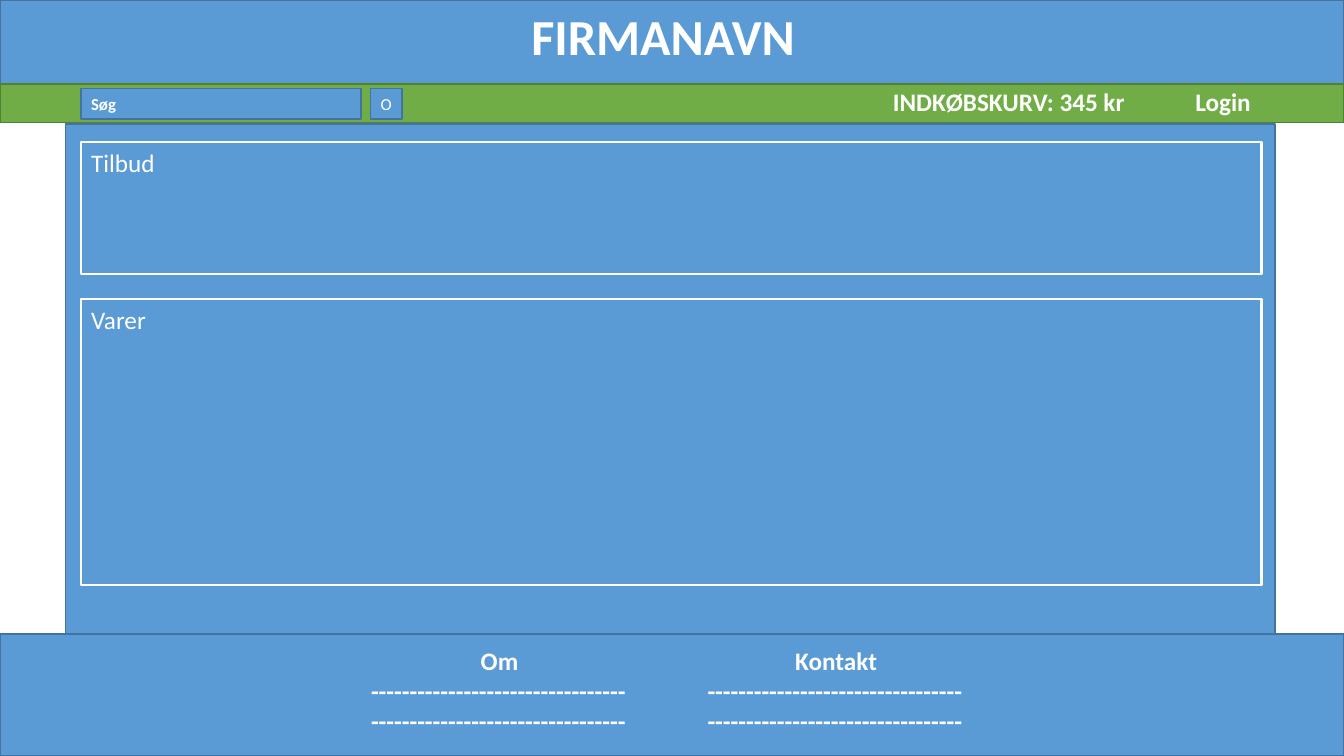
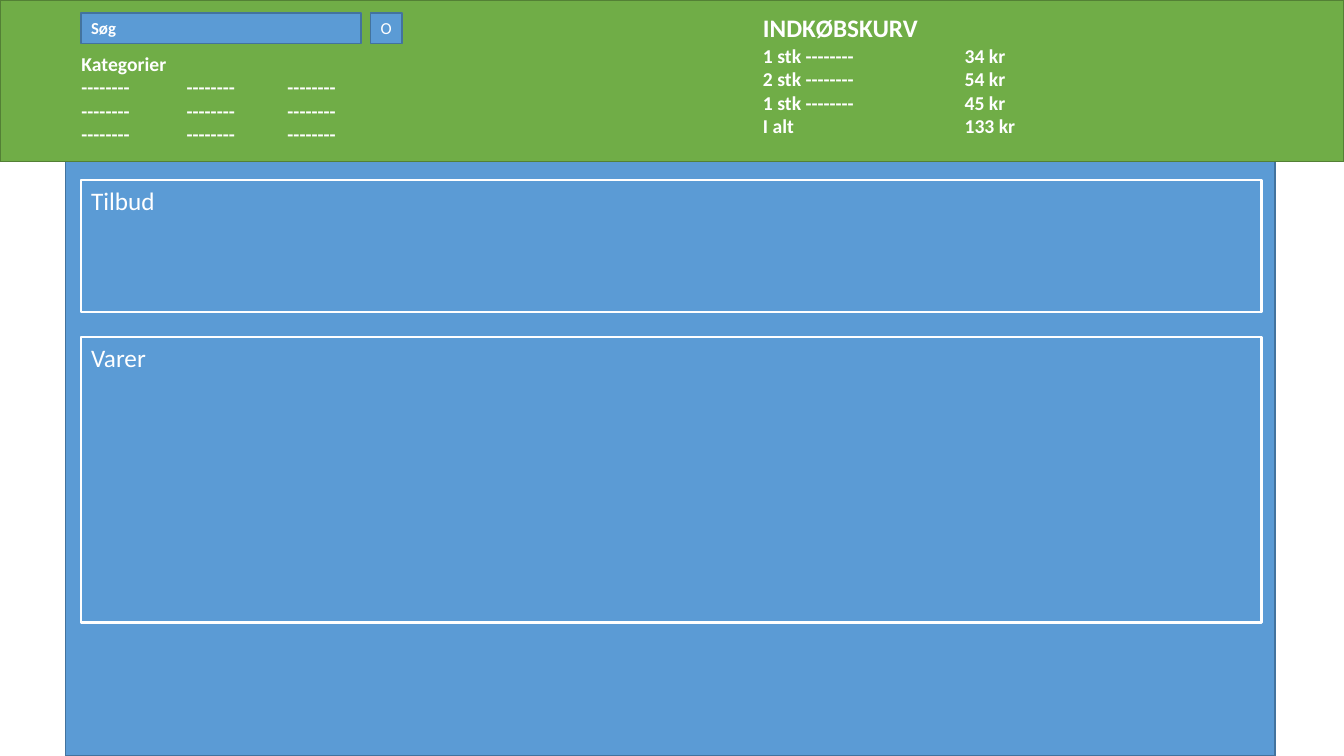
"""Build two wireframe slides of a web shop: the front page and its opened menu."""
from dataclasses import dataclass

from lxml import etree
from pptx import Presentation
from pptx.dml.color import RGBColor
from pptx.enum import shapes, text
from pptx.oxml import ns
from pptx.util import Pt

COLORS = {"blue": "5B9BD5", "blue_edge": "43739E", "green": "70AD47",
          "green_edge": "538035", "white": "FFFFFF"}
FONT = "Calibri"
WIDTH, HEIGHT = 960, 540
MARGIN, INNER_LEFT, INNER_WIDTH = 46.8, 58, 843.1
TAB_STEP = 72
LEFT, CENTER = text.PP_ALIGN.LEFT, text.PP_ALIGN.CENTER
TOP, MIDDLE = text.MSO_ANCHOR.TOP, text.MSO_ANCHOR.MIDDLE
DASHES = "-" * 33
SHORT = "-" * 8


@dataclass
class Frame:
    """Position and size in points."""
    left: float
    top: float
    width: float
    height: float


@dataclass
class Style:
    """Look of a block of text."""
    size: float
    bold: bool = True
    align: text.PP_ALIGN = LEFT
    anchor: text.MSO_ANCHOR = TOP
    wrap: bool = True


@dataclass
class Box:
    """Filled rectangle with an optional label."""
    frame: Frame
    fill: str = "blue"
    edge: str = "blue_edge"
    edge_width: float = 1
    label: str = ""
    style: Style | None = None


HEADING = Style(18, wrap=False)
PANEL_LABEL = Style(18, bold=False)
LIST = Style(14)


def rgb(name: str) -> RGBColor:
    """Look up a named colour."""
    return RGBColor.from_string(COLORS[name])


def write(sp, lines: list[str], style: Style) -> None:
    """Put lines of text in a shape and format them."""
    tf = sp.text_frame
    tf.text = "\n".join(lines)
    tf.word_wrap = style.wrap
    tf.vertical_anchor = style.anchor
    for p in tf.paragraphs:
        p.alignment = style.align
        p.space_before = Pt(0)
        pPr = p._p.get_or_add_pPr()
        for name, points in (("marL", 0), ("indent", 0), ("defTabSz", TAB_STEP)):
            pPr.set(name, str(Pt(points)))
        etree.SubElement(pPr, ns.qn("a:buNone"))
        for r in p.runs:
            r.font.name, r.font.size = FONT, Pt(style.size)
            r.font.bold = style.bold
            r.font.color.rgb = rgb("white")


def place(sp, frame: Frame) -> None:
    """Move and size a shape."""
    sp.left, sp.top = Pt(frame.left), Pt(frame.top)
    sp.width, sp.height = Pt(frame.width), Pt(frame.height)


def add_box(s, box: Box) -> None:
    """Draw a rectangle."""
    f = box.frame
    sp = s.shapes.add_shape(shapes.MSO_SHAPE.RECTANGLE, Pt(f.left), Pt(f.top),
                            Pt(f.width), Pt(f.height))
    sp.shadow.inherit = False
    sp.fill.solid()
    sp.fill.fore_color.rgb = rgb(box.fill)
    sp.line.color.rgb = rgb(box.edge)
    sp.line.width = Pt(box.edge_width)
    if box.style:
        write(sp, [box.label], box.style)


def fill_placeholder(s, index: int, frame: Frame, lines: list[str], style: Style) -> None:
    """Place a layout placeholder in front of the boxes and fill it."""
    sp = s.placeholders[index]
    place(sp, frame)
    write(sp, lines, style)
    sp.text_frame.auto_size = text.MSO_AUTO_SIZE.SHAPE_TO_FIT_TEXT
    s.shapes._spTree.append(sp._element)


def add_content(s, top: float, bottom: float) -> None:
    """Draw the page body with its offers and goods panels."""
    add_box(s, Box(Frame(MARGIN, top, 864, bottom - top)))
    for label, offset, height in (("Tilbud", 13, 94.3), ("Varer", 125.3, 203.8)):
        frame = Frame(INNER_LEFT, top + offset, INNER_WIDTH, height)
        add_box(s, Box(frame, edge="white", edge_width=1.5,
                       label=label, style=PANEL_LABEL))


def add_menu(s, top: float, height: float, search_top: float) -> None:
    """Draw the green band with the search field and its button."""
    add_box(s, Box(Frame(0, top, WIDTH, height), "green", "green_edge"))
    add_box(s, Box(Frame(INNER_LEFT, search_top, 200, 21.8), label="Søg",
                   style=Style(12, anchor=MIDDLE)))
    add_box(s, Box(Frame(264.6, search_top, 22.6, 21.8), label="O",
                   style=Style(12, False, CENTER, MIDDLE, False)))


def build_front_page(s) -> None:
    """Front page with header, menu band and footer."""
    add_box(s, Box(Frame(0, 0, WIDTH, 87.6)))
    add_content(s, 88.6, HEIGHT)
    add_menu(s, 60, 27.4, 63.2)
    add_box(s, Box(Frame(0, 452.8, WIDTH, HEIGHT - 452.8)))
    fill_placeholder(s, 0, Frame(166.3, 0, 614.9, 50.9), ["FIRMANAVN"],
                     Style(36, align=CENTER))
    sp = s.shapes.add_textbox(0, 0, 0, 0)
    place(sp, Frame(630.7, 58.2, 273, 29.1))
    write(sp, ["INDKØBSKURV: 345 kr\tLogin"], HEADING)
    for index, left, label in ((1, 257.8, "Om"), (2, 498.2, "Kontakt")):
        fill_placeholder(s, index, Frame(left, 457, 198, 72.7),
                         [label, DASHES, DASHES], HEADING)
        s.placeholders[index].text_frame.paragraphs[0].alignment = CENTER


def build_open_menu(s) -> None:
    """Page with the menu opened on categories and cart."""
    add_content(s, 115.6, HEIGHT)
    add_menu(s, 0, 115.5, 9.2)
    fill_placeholder(s, 0, Frame(537.8, 5.4, 126, 29.1), ["INDKØBSKURV"], HEADING)
    row = "\t ".join([SHORT] * 3)
    fill_placeholder(s, 1, Frame(51, 33.2, 350.6, 74.9),
                     ["Kategorier"] + [row] * 3, LIST)
    cart = [(f"1 stk {SHORT}", 34), (f"2 stk {SHORT}", 54),
            (f"1 stk {SHORT}", 45), ("I alt", 133)]
    fill_placeholder(s, 2, Frame(537.8, 27.4, WIDTH - 537.8, 74.9),
                     [f"{item}\t\t{price} kr" for item, price in cart], LIST)


def main() -> None:
    """Build and save the presentation."""
    prs = Presentation()
    prs.slide_width, prs.slide_height = Pt(WIDTH), Pt(HEIGHT)
    two_content = prs.slide_layouts[3]
    for build in (build_front_page, build_open_menu):
        build(prs.slides.add_slide(two_content))
    prs.save("out.pptx")


main()
